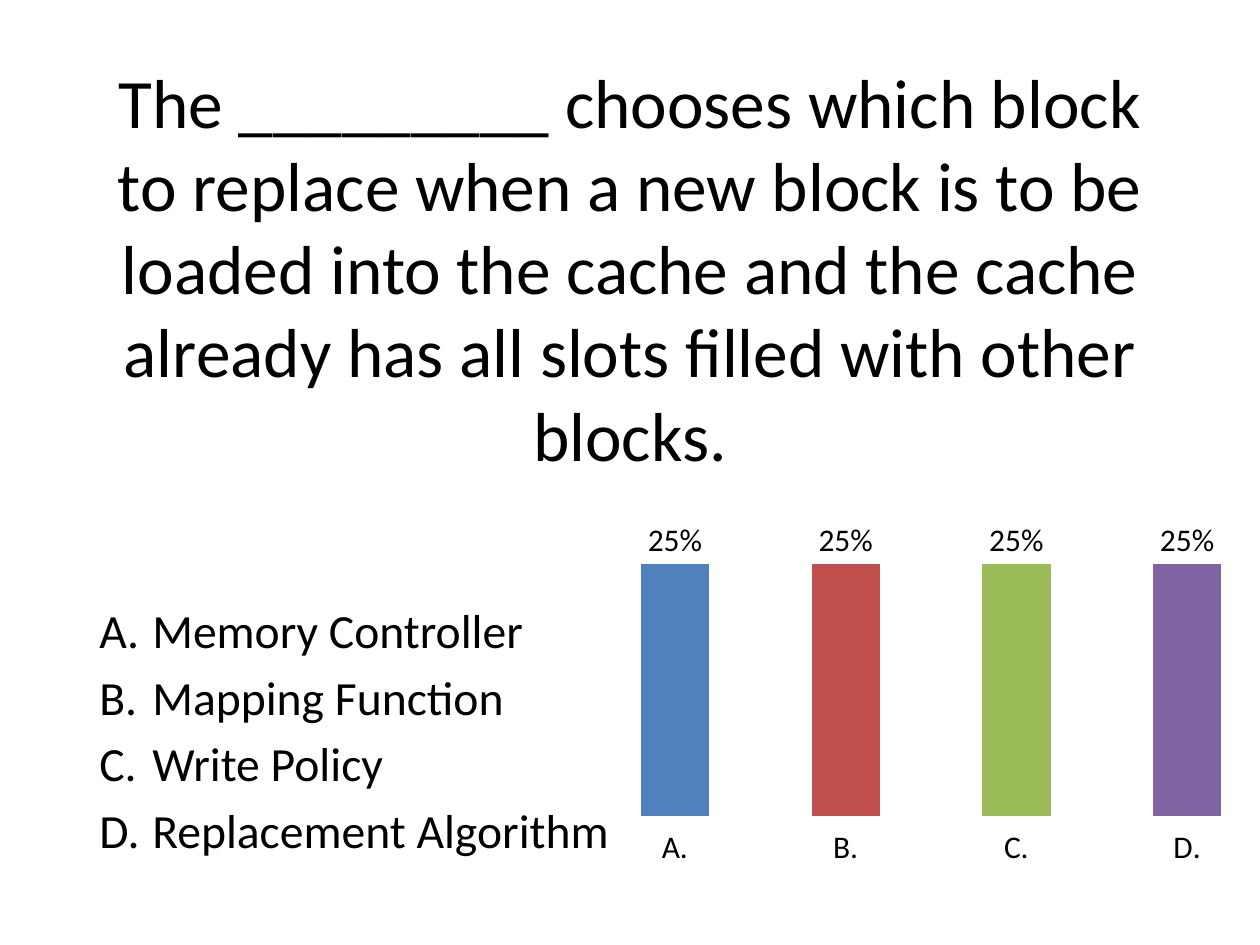
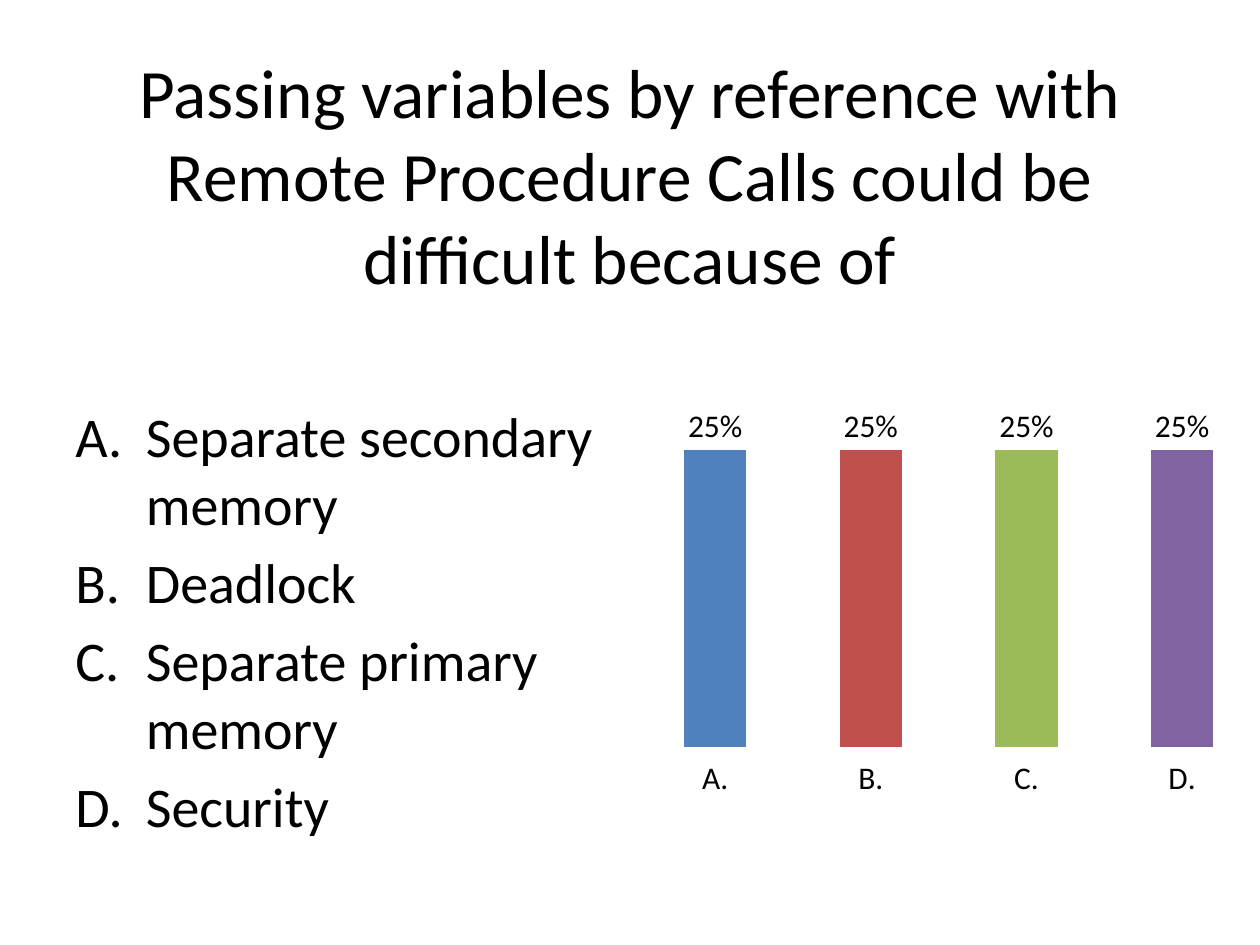
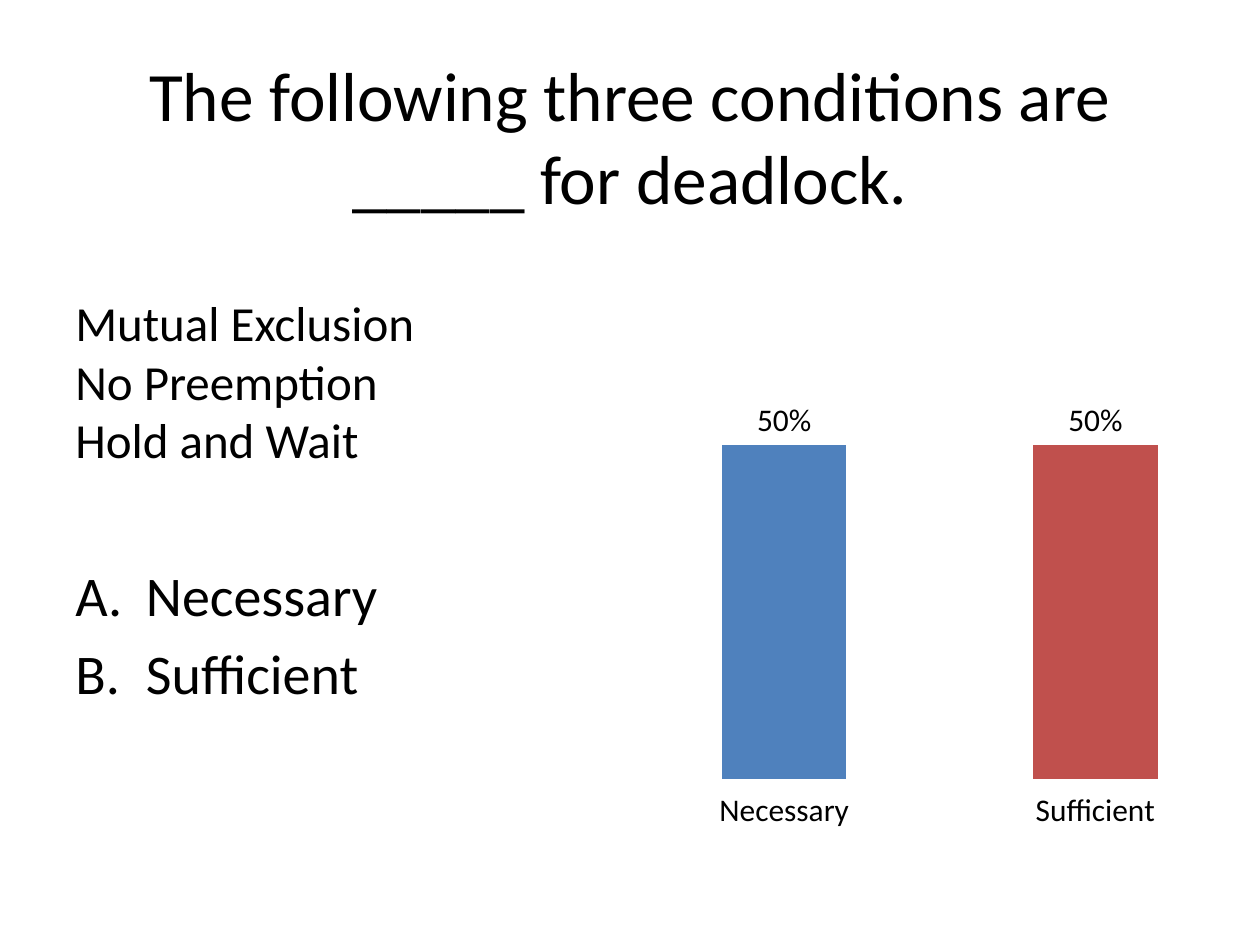
import pptx
import pptx.chart.data
import pptx.dml.color
import pptx.enum.chart
import pptx.enum.text
import pptx.oxml
import pptx.oxml.ns
import pptx.util

Inches = pptx.util.Inches
Pt = pptx.util.Pt
RGBColor = pptx.dml.color.RGBColor
PP_ALIGN = pptx.enum.text.PP_ALIGN
MSO_ANCHOR = pptx.enum.text.MSO_ANCHOR

BLACK = RGBColor(0x00, 0x00, 0x00)
WHITE = RGBColor(0xFF, 0xFF, 0xFF)
BLUE = RGBColor(0x4F, 0x81, 0xBD)
RED = RGBColor(0xC0, 0x50, 0x4D)
GREEN = RGBColor(0x9B, 0xBB, 0x59)
PURPLE = RGBColor(0x80, 0x64, 0xA2)
BAR_COLORS = [BLUE, RED, GREEN, PURPLE]

FONT = "Calibri"
TITLE_SIZE = 39.6
CHART_SIZE = 18
PLOT = {"x": 0.008, "y": 0.072, "w": 0.992, "h": 0.76}


def set_attrs(obj, values):
    for name, value in values.items():
        setattr(obj, name, value)


class QuizDeck:
    def __init__(self):
        self.prs = pptx.Presentation()
        set_attrs(self.prs, {"slide_width": Inches(10), "slide_height": Inches(7.5)})

    def new_slide(self):
        self.s = self.prs.slides.add_slide(self.prs.slide_layouts[6])
        fill = self.s.background.fill
        fill.solid()
        fill.fore_color.rgb = WHITE

    def style_font(self, font, size):
        set_attrs(font, {"name": FONT, "size": Pt(size)})
        font.color.rgb = BLACK

    def text(self, box, lines, size, anchor=MSO_ANCHOR.TOP, align=PP_ALIGN.LEFT):
        sp = self.s.shapes.add_textbox(*map(Inches, box))
        tf = sp.text_frame
        set_attrs(tf, {"word_wrap": True, "vertical_anchor": anchor})
        for i, line in enumerate(lines):
            p = tf.add_paragraph() if i else tf.paragraphs[0]
            p.alignment = align
            r = p.add_run()
            r.text = line
            self.style_font(r.font, size)
        return tf

    def title(self, box, question):
        self.text(box, [question], TITLE_SIZE, MSO_ANCHOR.MIDDLE, PP_ALIGN.CENTER)

    def answers(self, box, options, size=32, indent=0.56):
        tf = self.text(box, options, size)
        for i, p in enumerate(tf.paragraphs):
            pPr = p._p.get_or_add_pPr()
            pPr.set("marL", str(Inches(indent)))
            pPr.set("indent", str(-Inches(indent)))
            number = pptx.oxml.parse_xml(
                f'<a:buAutoNum {pptx.oxml.ns.nsdecls("a")} type="alphaUcPeriod"/>')
            pPr.append(number)
            if i:
                p.space_before = Pt(size * 0.2)

    def votes(self, box, categories, share, top):
        data = pptx.chart.data.CategoryChartData(number_format="0%")
        data.categories = categories
        data.add_series("Series 1", [share] * len(categories))
        kind = pptx.enum.chart.XL_CHART_TYPE.COLUMN_CLUSTERED
        chart = self.s.shapes.add_chart(kind, *map(Inches, box), data).chart
        set_attrs(chart, {"has_title": False, "has_legend": False})
        self.style_font(chart.font, CHART_SIZE)
        for axis in (chart.category_axis, chart.value_axis):
            set_attrs(axis, {
                "has_major_gridlines": False,
                "major_tick_mark": pptx.enum.chart.XL_TICK_MARK.OUTSIDE,
            })
            axis.format.line.fill.background()
        set_attrs(chart.value_axis, {
            "minimum_scale": 0,
            "maximum_scale": top,
            "tick_label_position": pptx.enum.chart.XL_TICK_LABEL_POSITION.NONE,
        })
        set_attrs(chart.value_axis.tick_labels,
                  {"number_format": "0%", "number_format_is_linked": False})
        plot = chart.plots[0]
        set_attrs(plot, {"gap_width": 150, "vary_by_categories": True,
                         "has_data_labels": True})
        set_attrs(plot.data_labels, {
            "show_value": True,
            "number_format": "0%",
            "number_format_is_linked": False,
            "position": pptx.enum.chart.XL_LABEL_POSITION.OUTSIDE_END,
        })
        for i, color in enumerate(BAR_COLORS[:len(categories)]):
            fill = plot.series[0].points[i].format.fill
            fill.solid()
            fill.fore_color.rgb = color
        self.place_plot(chart)

    def place_plot(self, chart):
        area = chart.element.xpath("c:chart/c:plotArea")[0]
        for layout in area.xpath("c:layout"):
            area.remove(layout)
        sizes = "".join(f'<c:{k} val="{v}"/>' for k, v in PLOT.items())
        area.insert(0, pptx.oxml.parse_xml(
            f'<c:layout {pptx.oxml.ns.nsdecls("c")}><c:manualLayout>'
            '<c:layoutTarget val="outer"/><c:xMode val="edge"/><c:yMode val="edge"/>'
            f'{sizes}</c:manualLayout></c:layout>'))


def main():
    deck = QuizDeck()
    letters = ["A.", "B.", "C.", "D."]

    deck.new_slide()
    deck.votes((4.62, 3.81, 5.48, 3.69), letters, 0.25, 0.3)
    deck.title((0.69, 1.24, 8.62, 1.76),
               "The _________ chooses which block to replace when a new block is to be "
               "loaded into the cache and the cache already has all slots filled with "
               "other blocks.")
    deck.answers((0.69, 4.72, 4.31, 2.34),
                 ["Memory Controller", "Mapping Function", "Write Policy",
                  "Replacement Algorithm"], size=27.2, indent=0.42)

    deck.new_slide()
    deck.votes((5, 2.8, 5, 4.24), letters, 0.25, 0.3)
    deck.title((0.5, 0.3, 9, 2.16),
               "Passing variables by reference with Remote Procedure Calls could be "
               "difficult because of")
    deck.answers((0.5, 3.14, 4.5, 3.56),
                 ["Separate secondary memory", "Deadlock", "Separate primary memory",
                  "Security"])

    deck.new_slide()
    options = ["Necessary", "Sufficient"]
    deck.votes((4.93, 2.66, 5, 4.72), options, 0.5, 0.6)
    deck.title((0.5, 0.45, 9, 1.25),
               "The following three conditions are _____ for deadlock.")
    deck.answers((0.5, 4.4, 4.5, 2.3), options)
    deck.text((0.5, 2.27, 3.06, 1.51),
              ["Mutual Exclusion", "No Preemption", "Hold and Wait"], 28)

    deck.prs.save("out.pptx")


if __name__ == "__main__":
    main()
